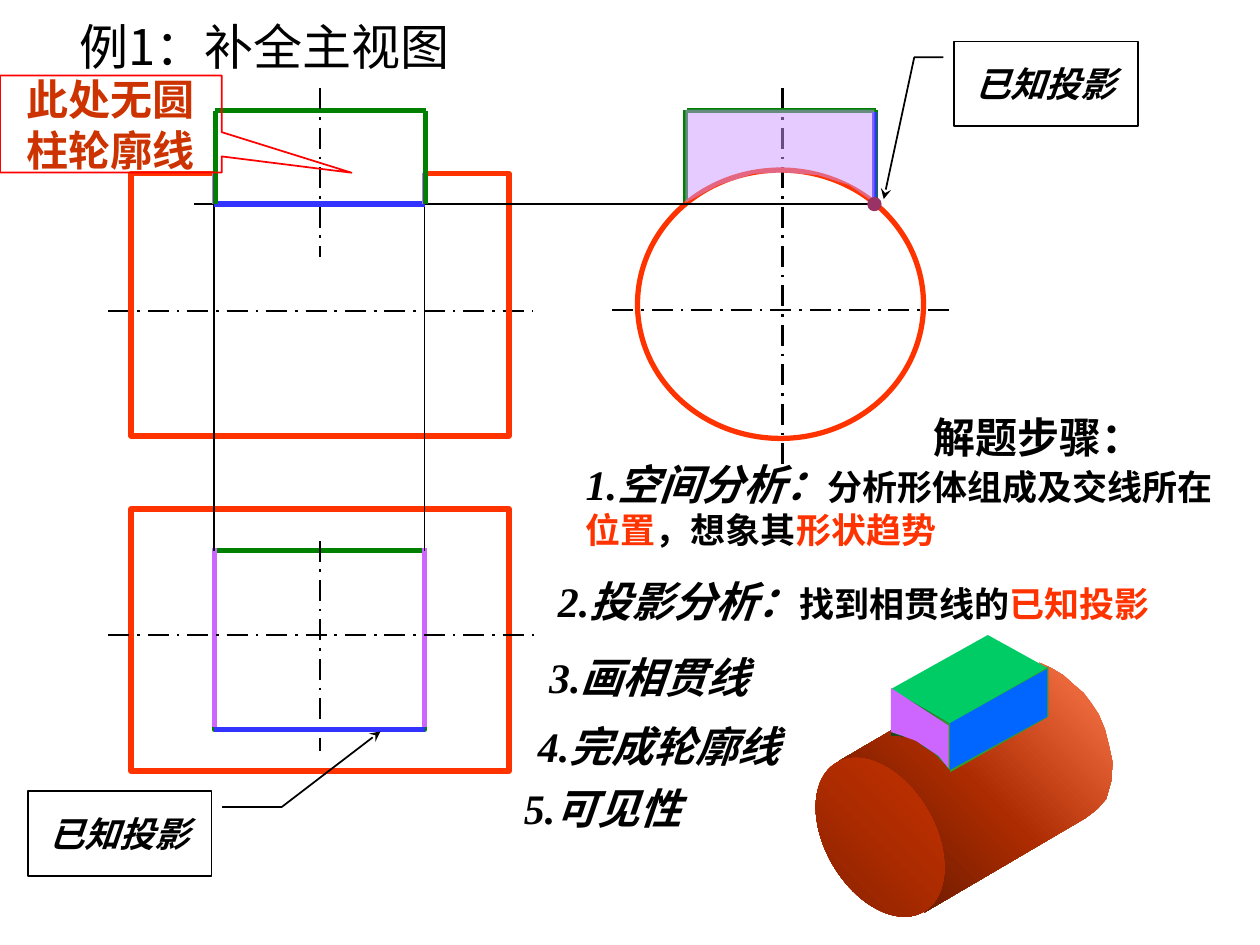
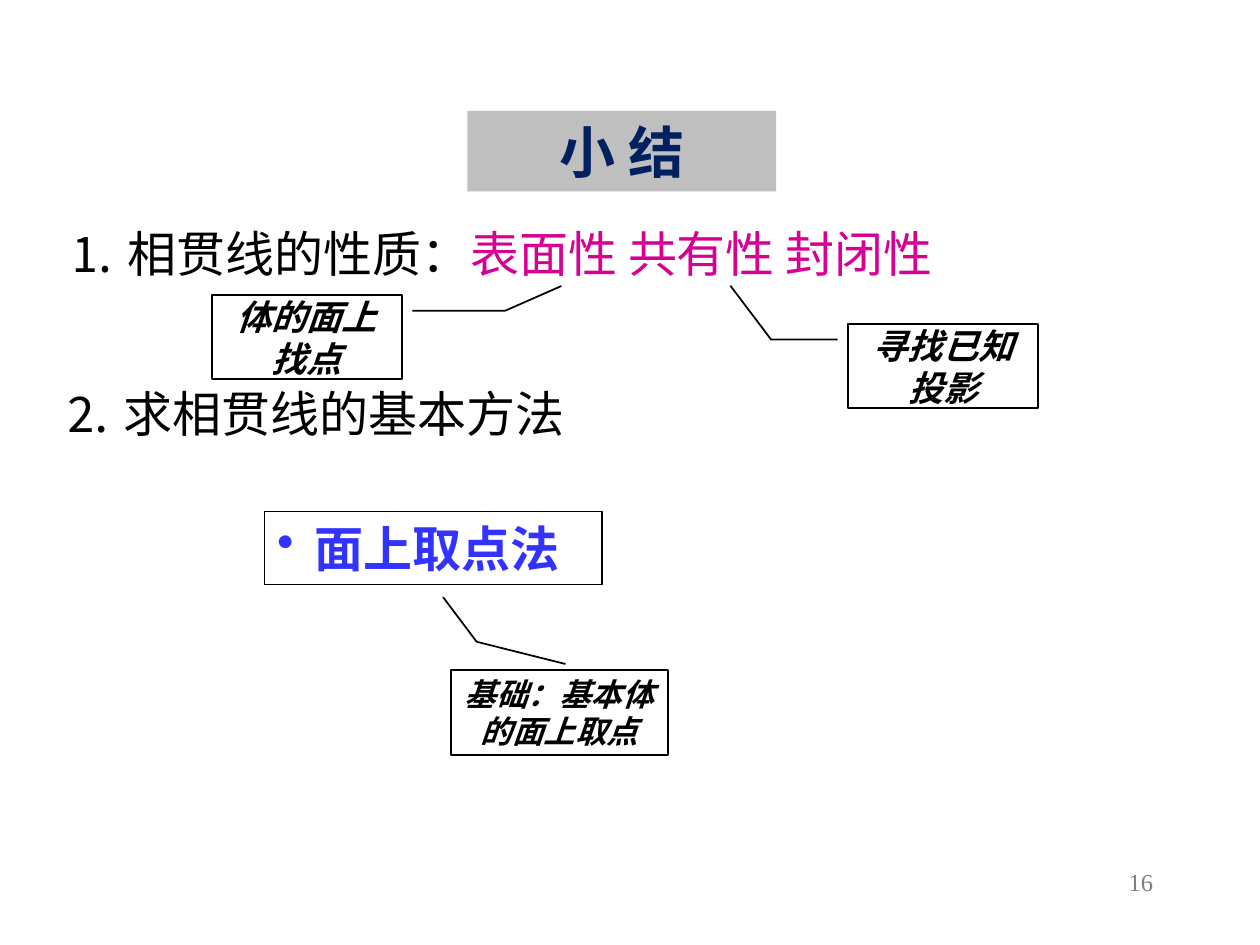
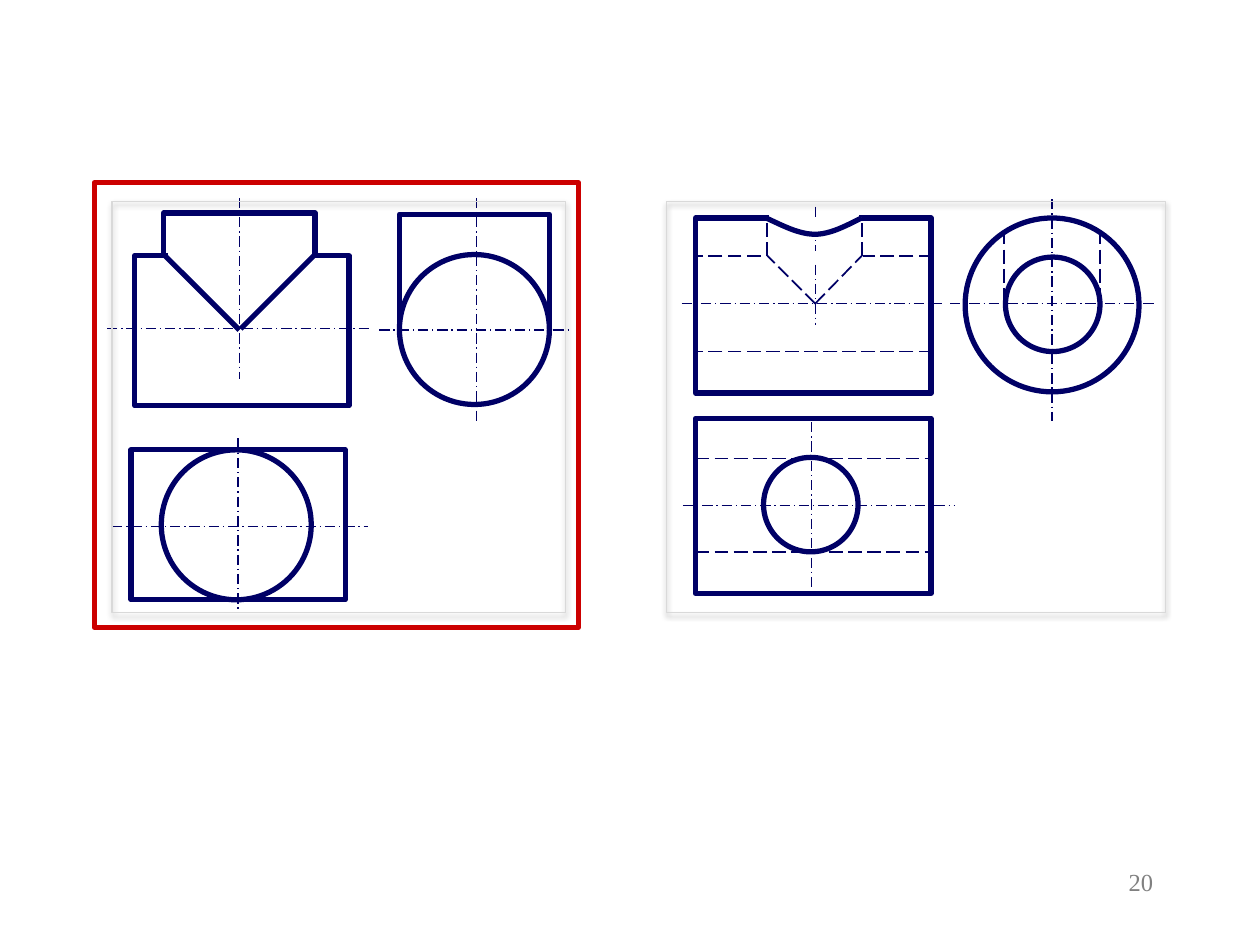
from dataclasses import dataclass, replace

from pptx import Presentation
from pptx.dml.color import RGBColor
from pptx.enum.dml import MSO_LINE as Dash
from pptx.enum.shapes import MSO_CONNECTOR, MSO_SHAPE as Kind
from pptx.enum.text import MSO_ANCHOR as Anchor, MSO_AUTO_SIZE as AutoSize, PP_ALIGN as Align
from pptx.oxml import parse_xml
from pptx.oxml.ns import nsdecls, qn
from pptx.util import Inches, Pt


@dataclass(frozen=True)
class Theme:
    sans: str = "Noto Sans CJK SC"
    serif: str = "Times New Roman"
    black: str = "000000"
    white: str = "FFFFFF"
    red: str = "FF3300"
    green: str = "008000"
    blue: str = "3333FF"
    violet: str = "CC66FF"
    navy: str = "000066"
    magenta: str = "D60093"
    banner: str = "BFBFBF"
    banner_text: str = "002060"
    number: str = "808080"
    warning: str = "CC3300"
    warning_line: str = "FF0000"
    frame: str = "CC0000"
    panel: str = "D9D9D9"
    section: str = "CC99FF"
    point: str = "993366"
    heading_size: int = 32
    title_size: int = 28
    step_size: int = 24
    body_size: int = 20
    small_size: int = 18
    number_size: int = 14


THEME = Theme()


@dataclass(frozen=True)
class TextStyle:
    size: int
    color: str = THEME.black
    font: str = THEME.serif
    bold: bool = False
    italic: bool = False


@dataclass(frozen=True)
class Stroke:
    color: str
    width: float
    dash: object = None


TITLE = TextStyle(THEME.title_size, font=THEME.sans)
STEP = TextStyle(THEME.step_size, bold=True, italic=True)
BODY = TextStyle(THEME.body_size, bold=True)
BODY_RED = replace(BODY, color=THEME.red)
CALLOUT = replace(BODY, italic=True)

THIN = Stroke(THEME.black, 1)
AXIS = Stroke(THEME.black, 1.5, Dash.LONG_DASH_DOT)
RED = Stroke(THEME.red, 3)
GREEN = Stroke(THEME.green, 3)
BLUE = Stroke(THEME.blue, 3)
VIOLET = Stroke(THEME.violet, 3)
NAVY = Stroke(THEME.navy, 3)
NAVY_AXIS = Stroke(THEME.navy, 0.75, Dash.LONG_DASH_DOT)
HIDDEN = Stroke(THEME.navy, 1, Dash.LONG_DASH)
ERASER = Stroke(THEME.white, 6)


def set_stroke(item, stroke):
    item.line.color.rgb = RGBColor.from_string(stroke.color)
    item.line.width = Pt(stroke.width)
    if stroke.dash:
        item.line.dash_style = stroke.dash


def set_fill(shape, color):
    if color:
        shape.fill.solid()
        shape.fill.fore_color.rgb = RGBColor.from_string(color)
    else:
        shape.fill.background()


def set_gradient(shape, stops, radial=True):
    marks = "".join(f'<a:gs pos="{position * 1000}"><a:srgbClr val="{color}"/></a:gs>'
                    for position, color in stops)
    course = ('<a:path path="circle"><a:fillToRect t="100000" r="100000"/></a:path>'
              if radial else '<a:lin ang="0"/>')
    gradient = parse_xml(f'<a:gradFill {nsdecls("a")} rotWithShape="1">'
                         f'<a:gsLst>{marks}</a:gsLst>{course}</a:gradFill>')
    properties = shape.element.spPr
    properties.replace(properties.find(qn("a:solidFill")), gradient)


def set_shadow(shape):
    effects = shape.element.spPr.find(qn("a:effectLst"))
    effects.append(parse_xml(
        f'<a:outerShdw {nsdecls("a")} blurRad="{Pt(3.1)}" dist="{Pt(1.8)}" dir="5400000">'
        '<a:srgbClr val="000000"><a:alpha val="35000"/></a:srgbClr></a:outerShdw>'))


def write(shape, pieces, align=Align.LEFT, anchor=Anchor.TOP):
    frame = shape.text_frame
    frame.word_wrap = True
    frame.auto_size = AutoSize.NONE
    frame.vertical_anchor = anchor
    frame.margin_left = frame.margin_right = Inches(0.1)
    frame.margin_top = frame.margin_bottom = Inches(0.05)
    para = frame.paragraphs[0]
    para.alignment = align
    for text, style in pieces:
        span = para.add_run()
        span.text = text
        font = span.font
        font.size = Pt(style.size)
        font.bold = style.bold
        font.italic = style.italic
        font.color.rgb = RGBColor.from_string(style.color)
        font.name = style.font
        span.font._element.append(
            parse_xml(f'<a:ea {nsdecls("a")} typeface="{THEME.sans}"/>'))
    return para


class Region:
    def __init__(self, page, left=0, top=0):
        self.shapes = page.shapes
        self.left = left
        self.top = top

    def at(self, x, y):
        return Inches(self.left + x), Inches(self.top + y)

    def finish(self, shape, fill, stroke):
        shape.shadow.inherit = False
        set_fill(shape, fill)
        if stroke:
            set_stroke(shape, stroke)
        else:
            shape.line.fill.background()
        return shape

    def shape(self, kind, box, stroke=None, fill=None):
        x, y, width, height = box
        shape = self.shapes.add_shape(kind, *self.at(x, y), Inches(width), Inches(height))
        return self.finish(shape, fill, stroke)

    def rect(self, box, stroke=None, fill=None):
        return self.shape(Kind.RECTANGLE, box, stroke, fill)

    def ellipse(self, box, stroke=None, fill=None):
        return self.shape(Kind.OVAL, box, stroke, fill)

    def line(self, x1, y1, x2, y2, stroke):
        line = self.shapes.add_connector(MSO_CONNECTOR.STRAIGHT, *self.at(x1, y1), *self.at(x2, y2))
        set_stroke(line, stroke)
        line.element.spPr.append(parse_xml(f'<a:effectLst {nsdecls("a")}/>'))

    def across(self, y, x1, x2, stroke):
        self.line(x1, y, x2, y, stroke)

    def down(self, x, y1, y2, stroke):
        self.line(x, y1, x, y2, stroke)

    def outline(self, points, fill=None, stroke=None, close=True):
        places = [self.at(x, y) for x, y in points]
        builder = self.shapes.build_freeform(*places[0], scale=1.0)
        builder.add_line_segments(places[1:], close=close)
        return self.finish(builder.convert_to_shape(), fill, stroke)

    def text(self, box, pieces, align=Align.LEFT, anchor=Anchor.TOP):
        x, y, width, height = box
        shape = self.shapes.add_textbox(*self.at(x, y), Inches(width), Inches(height))
        return write(shape, pieces, align, anchor)

    def callout(self, box, text, bends, style=CALLOUT, arrow=False):
        shape = self.shape(Kind.LINE_CALLOUT_2, box, THIN)
        for index, bend in enumerate(bends):
            shape.adjustments[index] = bend
        if arrow:
            shape.get_or_add_ln().append(parse_xml(f'<a:tailEnd {nsdecls("a")} type="stealth"/>'))
        write(shape, [(text, style)], Align.CENTER, Anchor.MIDDLE)


def add_page(deck, title=None, box=None, style=TITLE, align=Align.LEFT, fill=None):
    page = deck.slides.add_slide(deck.slide_layouts[5 if title else 6])
    if title:
        holder = page.shapes.title
        holder.left, holder.top, holder.width, holder.height = map(Inches, box)
        set_fill(holder, fill)
        write(holder, [(title, style)], align, Anchor.MIDDLE)
    return page


def page_number(region, number):
    style = TextStyle(THEME.number_size, THEME.number)
    region.text((0, 0, 2.08, 0.5), [(number, style)], Align.RIGHT)


def front_body(region):
    region.across(1.77, 0, 3.36, AXIS)
    region.rect((0.18, 0.68, 3, 2.08), RED)


def front_boss(region):
    region.across(0.92, 0.84, 2.51, BLUE)
    region.across(0.68, 0.86, 2.51, replace(ERASER, width=4.5))
    for x in (0.84, 2.51):
        region.down(x, 0.67, 0.92, VIOLET)
    for x in (0.85, 2.52):
        region.down(x, 0.18, 0.92, GREEN)
    region.across(0.18, 0.85, 2.52, GREEN)
    region.down(1.68, 0, 1.34, AXIS)


def top_view(region):
    region.rect((0.18, 0, 3, 2.08), RED)
    region.rect((0.84, 0.33, 1.67, 1.42), GREEN)
    region.down(1.68, 0.25, 1.92, AXIS)
    region.across(1.75, 0.84, 2.51, BLUE)
    for x in (0.84, 2.51):
        region.down(x, 0.31, 1.73, VIOLET)
    region.across(1, 0, 3.38, AXIS)


def side_view(region):
    region.down(1.35, 0, 2.99, AXIS)
    region.across(1.76, 0, 2.71, AXIS)
    for x in (0.58, 2.09):
        region.down(x, 0.17, 0.92, GREEN)
    region.ellipse((0.2, 0.65, 2.27, 2.13), RED)
    region.across(0.18, 0.59, 2.09, GREEN)
    region.down(2.08, 0.19, 0.92, BLUE)
    section = region.outline(
        [(0.58, 0.91), (0.58, 0.17), (2.08, 0.17), (2.08, 0.91), (1.88, 0.77),
         (1.63, 0.69), (1.37, 0.67), (1.12, 0.68), (0.84, 0.77)], THEME.section)
    color = section.element.spPr.find(qn("a:solidFill"))[0]
    color.append(parse_xml(f'<a:alpha {nsdecls("a")} val="50000"/>'))


def projection_lines(region):
    for x in (0.16, 1.83):
        region.down(x, 0, 3, THIN)
    region.across(0.25, 5.41, 0, THIN)


def solid_model(region):
    barrel = region.outline(
        [(0.11, 1), (0.52, 0.76), (0.58, 0.73), (0.62, 0.76), (0.71, 0.79), (0.77, 0.82),
         (0.8, 0.87), (0.85, 0.9), (0.91, 0.95), (0.96, 0.98), (0.99, 1.07), (1.76, 0.62),
         (1.76, 0.29), (1.7, 0.22), (1.79, 0.26), (1.89, 0.32), (1.98, 0.4), (2.05, 0.46),
         (2.11, 0.54), (2.17, 0.63), (2.22, 0.75), (2.25, 0.87), (2.28, 1.01), (2.27, 1.16),
         (2.23, 1.3), (2.16, 1.38), (2.07, 1.45), (0.79, 2.2), (0.78, 2.06), (0.93, 1.95),
         (0.95, 1.85), (0.93, 1.72), (0.89, 1.59), (0.83, 1.47), (0.77, 1.33), (0.7, 1.25),
         (0.62, 1.18), (0.51, 1.09), (0.38, 1.01), (0.29, 0.98), (0.2, 0.99)], THEME.red)
    set_gradient(barrel, [(0, "531500"), (50, "AC2B00"), (100, "FF7A4E")])
    end = region.ellipse((0, 0.92, 0.87, 1.37), fill=THEME.red)
    end.rotation = 329.6
    set_gradient(end, [(0, "791E00"), (50, "AC2B00"), (100, "CC3300")])
    edge = region.outline(
        [(0.52, 0.43), (1, 0.71), (1, 1.08), (0.92, 0.99), (0.86, 0.93), (0.79, 0.89),
         (0.73, 0.84), (0.66, 0.81), (0.59, 0.8), (0.52, 0.8)], THEME.green)
    set_gradient(edge, [(0, "184718"), (100, "339933")], radial=False)
    faces = [
        ("339933", [(0.98, 0.67), (0.99, 0.76), (0.99, 1.09), (1.77, 0.65), (1.77, 0.25)]),
        ("00CC66", [(0.52, 0.43), (0.99, 0.7), (1.76, 0.26), (1.29, 0)]),
        ("0066FF", [(0.99, 0.7), (0.99, 1.07), (1.76, 0.65), (1.76, 0.27)]),
        (THEME.violet, [(0.52, 0.42), (0.98, 0.72), (0.98, 1.06), (0.9, 0.96),
                        (0.81, 0.9), (0.72, 0.84), (0.61, 0.8), (0.52, 0.77)]),
    ]
    for color, points in faces:
        region.outline(points, color)


def solution_steps(region):
    steps = [
        ((0.49, 0.37, 5.19, 0.83),
         [("1.空间分析：", STEP), ("分析形体组成及交线所在", BODY), ("位置", BODY_RED),
          ("，想象其", BODY), ("形状趋势", BODY_RED)]),
        ((0.27, 1.3, 5.67, 0.5),
         [("2.投影分析：", STEP), ("找到相贯线的", BODY), ("已知投影", BODY_RED)]),
        ((0.2, 1.9, 1.98, 0.5), [("3.画相贯线", STEP)]),
        ((0.11, 2.45, 2.23, 0.5), [("4.完成轮廓线", STEP)]),
        ((0, 2.94, 1.98, 0.5), [("5.可见性", STEP)]),
        ((3.25, 0, 2, 0.5), [("解题步骤：", replace(STEP, italic=False))]),
    ]
    for box, pieces in steps:
        region.text(box, pieces)


def view_notes(region):
    known = "已知投影"
    region.callout((0.22, 6.28, 1.46, 0.67), known,
                   (0.188, 1.057, 0.188, 1.381, -0.708, 1.918), arrow=True)
    region.callout((7.57, 0.33, 1.46, 0.67), known,
                   (0.188, -0.057, 0.188, -0.215, 1.867, -0.381), arrow=True)
    region.ellipse((6.89, 1.57, 0.1, 0.1), Stroke(THEME.point, 1), THEME.point)
    warning = region.shape(Kind.RECTANGULAR_CALLOUT, (0, 0.6, 1.76, 0.77),
                           Stroke(THEME.warning_line, 1))
    warning.adjustments[0] = 1.086
    warning.adjustments[1] = 0.502
    style = TextStyle(THEME.step_size, THEME.warning, bold=True)
    write(warning, [("此处无圆柱轮廓线", style)], Align.CENTER, Anchor.MIDDLE)


def example_page(deck):
    page = add_page(deck, "例1：补全主视图", (0.53, 0.08, 4.26, 0.57))
    front = Region(page, 0.86, 0.7)
    front_body(front)
    side_view(Region(page, 4.86, 0.7))
    top_view(Region(page, 0.86, 4.04))
    projection_lines(Region(page, 1.54, 1.37))
    front_boss(front)
    solid_model(Region(page, 6.55, 5.04))
    view_notes(Region(page))
    solution_steps(Region(page, 4.06, 3.22))


def summary_points(region):
    region.text((0, 1.27, 5.73, 0.57), [("⒉ 求相贯线的基本方法", TITLE)], anchor=Anchor.MIDDLE)
    region.text((0.03, 0, 8.45, 0.57),
                [("⒈ 相贯线的性质：", TITLE),
                 ("表面性 共有性 封闭性", replace(TITLE, color=THEME.magenta))],
                anchor=Anchor.MIDDLE)
    region.callout((1.27, 0.62, 1.51, 0.67), "体的面上找点",
                   (0.188, 1.055, 0.188, 1.544, -0.104, 1.838))
    region.callout((6.32, 0.85, 1.51, 0.67), "寻找已知投影",
                   (0.188, -0.055, 0.188, -0.404, -0.451, -0.618))


def method_box(region):
    method = region.rect((0, 0, 2.68, 0.58), THIN)
    style = TextStyle(THEME.title_size, THEME.blue, bold=True)
    para = write(method, [("面上取点法", style)], anchor=Anchor.MIDDLE)
    properties = para._p.get_or_add_pPr()
    properties.set("marL", str(Inches(0.3)))
    properties.set("indent", str(-Inches(0.3)))
    properties.append(parse_xml(f'<a:buChar {nsdecls("a")} char="•"/>'))
    region.callout((1.48, 1.26, 1.72, 0.67), "基础：基本体的面上取点",
                   (-0.075, 0.528, -0.338, 0.118, -0.867, -0.037),
                   replace(CALLOUT, size=THEME.small_size))


def summary_page(deck):
    heading = TextStyle(THEME.heading_size, THEME.banner_text, THEME.sans, bold=True)
    page = add_page(deck, "小 结", (3.71, 0.88, 2.45, 0.64), heading, Align.CENTER, THEME.banner)
    page_number(Region(page, 7.17, 6.83), "16")
    summary_points(Region(page, 0.41, 1.72))
    method_box(Region(page, 2.1, 4.06))


def panel(region, width):
    set_shadow(region.rect((0, 0, width, 3.26), Stroke(THEME.panel, 0.75)))


def crossed_cylinders(region):
    region.rect((0.15, 1.97, 1.7, 1.19), NAVY, THEME.white)
    region.ellipse((0.39, 1.97, 1.19, 1.19), NAVY, THEME.white)
    region.across(2.58, 0, 2.03, NAVY_AXIS)
    region.down(1, 1.88, 3.26, NAVY_AXIS)

    region.rect((2.28, 0.1, 1.19, 0.92), NAVY, THEME.white)
    region.ellipse((2.28, 0.42, 1.19, 1.19), NAVY, THEME.white)
    region.down(2.89, -0.03, 1.77, NAVY_AXIS)
    region.across(1.02, 2.12, 3.64, NAVY_AXIS)

    region.rect((0.41, 0.09, 1.2, 0.62), NAVY, THEME.white)
    region.rect((0.18, 0.43, 1.7, 1.19), NAVY, THEME.white)
    region.across(1.01, -0.04, 2.05, NAVY_AXIS)
    region.across(0.41, 0.44, 1.59, ERASER)
    region.down(1.01, -0.03, 1.41, NAVY_AXIS)
    region.line(0.4, 0.41, 1.01, 1.02, NAVY)
    region.line(1.62, 0.41, 1.02, 1.01, NAVY)
    panel(region, 3.6)


def bezier(start, control1, control2, end, steps=12):
    for step in range(steps + 1):
        t = step / steps
        weights = ((1 - t) ** 3, 3 * t * (1 - t) ** 2, 3 * t ** 2 * (1 - t), t ** 3)
        yield tuple(sum(weight * point[axis] for weight, point in
                        zip(weights, (start, control1, control2, end))) for axis in (0, 1))


def drilled_tube(region):
    region.ellipse((2.37, 0.13, 1.38, 1.38), NAVY, THEME.white)
    region.ellipse((2.69, 0.44, 0.75, 0.75), NAVY, THEME.white)
    region.down(3.06, -0.02, 1.74, NAVY_AXIS)
    region.across(0.81, 2.25, 3.88, NAVY_AXIS)
    for x in (2.68, 3.44):
        region.down(x, 0.23, 0.82, HIDDEN)

    region.rect((0.23, 1.72, 1.87, 1.39), NAVY, THEME.white)
    region.ellipse((0.77, 2.03, 0.75, 0.75), NAVY, THEME.white)
    region.across(2.41, 0.13, 2.29, NAVY_AXIS)
    region.down(1.15, 1.75, 3.06, NAVY_AXIS)
    for y in (2.04, 2.78):
        region.across(y, 0.23, 2.11, HIDDEN)

    region.rect((0.23, 0.13, 1.87, 1.39), NAVY, THEME.white)
    region.across(0.81, 0.12, 2.19, NAVY_AXIS)
    for y in (0.43, 1.19):
        region.across(y, 2.11, 0.24, HIDDEN)
    region.across(0.13, 0.81, 1.53, ERASER)
    region.down(1.18, 0.04, 0.98, NAVY_AXIS)
    region.across(0.43, 0.79, 1.56, ERASER)
    for x in (0.8, 1.55):
        region.line(1.18, 0.81, x, 0.43, HIDDEN)
        region.down(x, 0.43, 0.13, HIDDEN)
    curve = [*bezier((0.79, 0.13), (0.92, 0.19), (1.05, 0.26), (1.18, 0.26)),
             *bezier((1.18, 0.26), (1.3, 0.26), (1.43, 0.19), (1.55, 0.13))]
    region.outline(curve, THEME.white, NAVY, close=False)
    panel(region, 3.96)


def comparison_page(deck):
    page = add_page(deck)
    page_number(Region(page, 7.17, 6.83), "20")
    Region(page).rect((0.75, 1.45, 3.84, 3.53), Stroke(THEME.frame, 3))
    crossed_cylinders(Region(page, 0.89, 1.6))
    drilled_tube(Region(page, 5.29, 1.6))


def main():
    deck = Presentation()
    deck.slide_width = Inches(10)
    deck.slide_height = Inches(7.5)
    example_page(deck)
    summary_page(deck)
    comparison_page(deck)
    deck.save("out.pptx")


if __name__ == "__main__":
    main()
